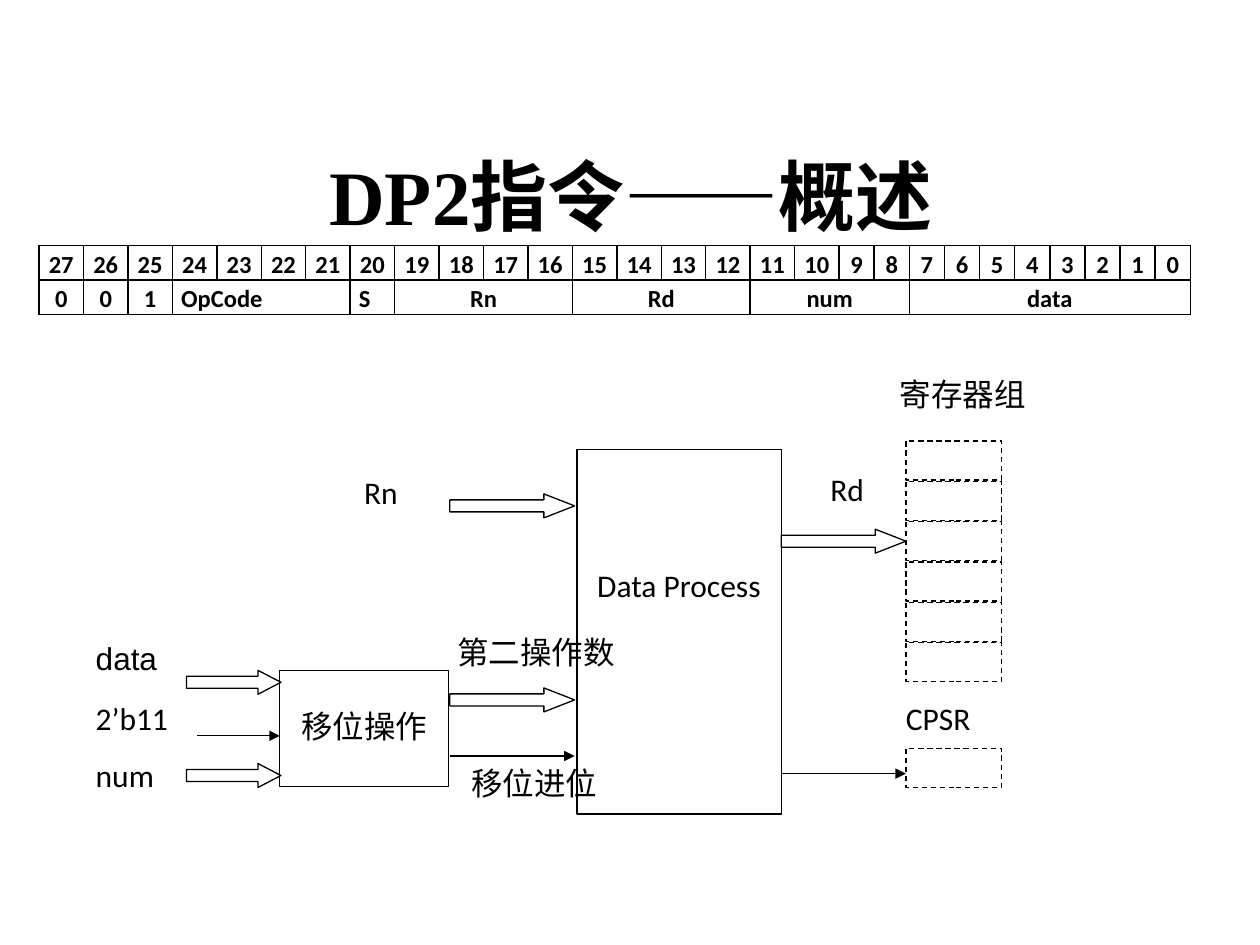
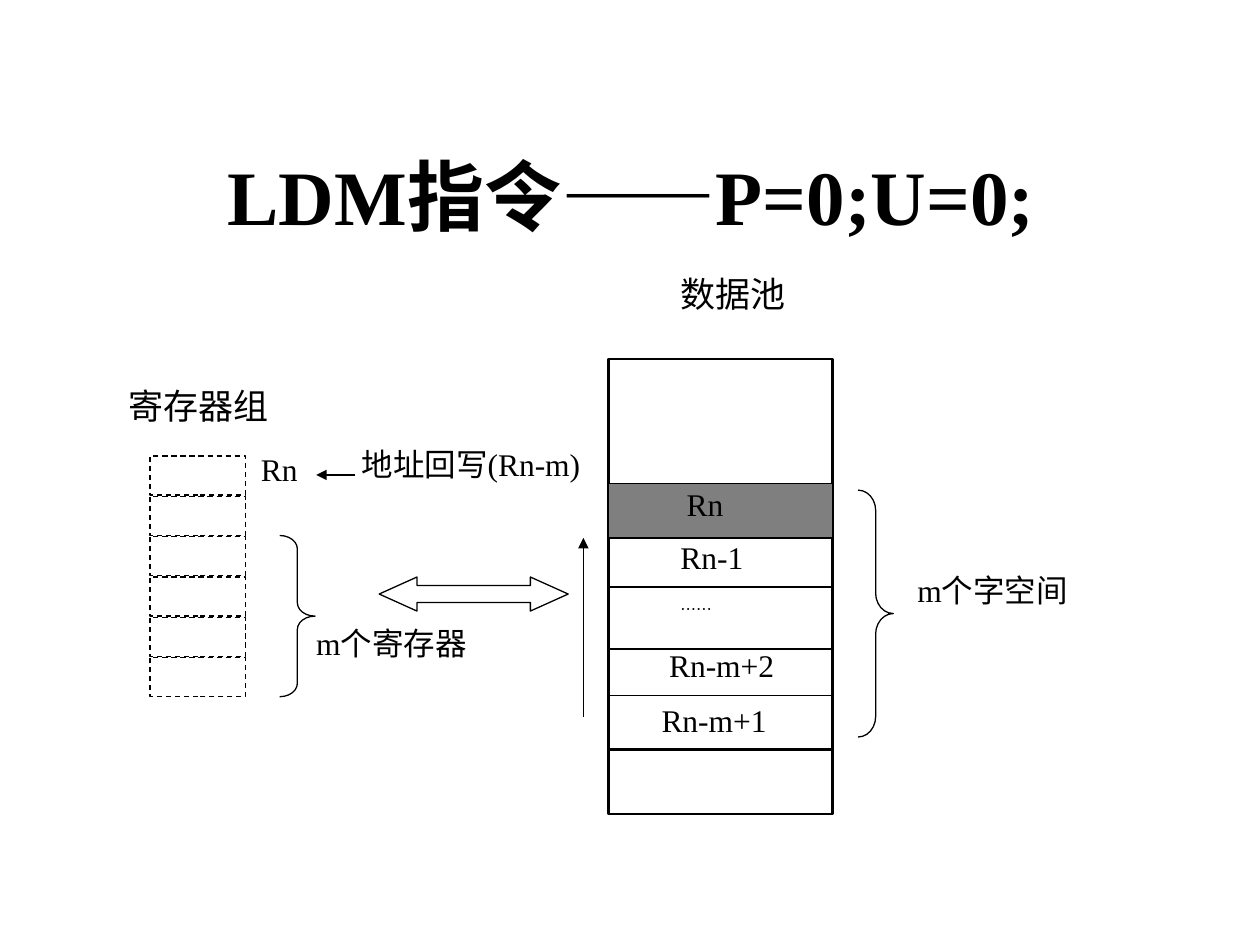
from dataclasses import dataclass

from lxml import etree
from pptx import Presentation
from pptx.dml.color import RGBColor
from pptx.enum.dml import MSO_LINE
from pptx.enum.shapes import MSO_CONNECTOR, MSO_SHAPE
from pptx.enum.text import MSO_ANCHOR, PP_ALIGN
from pptx.oxml.ns import qn
from pptx.util import Inches, Pt

RECT = MSO_SHAPE.RECTANGLE
RIGHT_ARROW = MSO_SHAPE.RIGHT_ARROW
BOTH_ARROW = MSO_SHAPE.LEFT_RIGHT_ARROW
BRACE = MSO_SHAPE.RIGHT_BRACE
STRAIGHT = MSO_CONNECTOR.STRAIGHT
DASH = MSO_LINE.DASH
LEFT, CENTER = PP_ALIGN.LEFT, PP_ALIGN.CENTER
MIDDLE = MSO_ANCHOR.MIDDLE
TITLE_ONLY = 5


@dataclass(frozen=True)
class Theme:
    """Colours, fonts, type sizes and line widths shared by the slides."""
    ink: RGBColor = RGBColor(0, 0, 0)
    paper: RGBColor = RGBColor(255, 255, 255)
    grey: RGBColor = RGBColor(0x7F, 0x7F, 0x7F)
    serif: str = "Times New Roman"
    sans: str = "Calibri"
    arial: str = "Arial"
    cjk: str = "Noto Sans CJK SC"
    title: int = 44
    heading: int = 20
    label: int = 18
    cell: int = 14
    small: int = 9
    thin: float = 0.75
    thick: float = 1.5
    border: float = 1


T = Theme()


def style(p, font, size, bold=False, align=LEFT):
    """Set the alignment and font of one paragraph."""
    p.alignment = align
    p.font.name = font
    p.font.size = Pt(size)
    p.font.bold = bold
    p.font.color.rgb = T.ink


def add_titled_slide(prs, title):
    """Add a slide with the shared title style."""
    s = prs.slides.add_slide(prs.slide_layouts[TITLE_ONLY])
    sp = s.shapes.title
    sp.left, sp.top, sp.width, sp.height = map(Inches, (0.51, 0.92, 9, 1.25))
    tf = sp.text_frame
    tf.text = title
    tf.vertical_anchor = MIDDLE
    style(tf.paragraphs[0], T.serif, T.title, True, CENTER)
    return s


def add_label(s, text, x, y, w, font, size=T.label):
    """Add a one-line label without margins."""
    tf = s.shapes.add_textbox(*map(Inches, (x, y, w, 0.39))).text_frame
    tf.word_wrap = True
    tf.margin_left = tf.margin_top = tf.margin_right = tf.margin_bottom = 0
    tf.text = text
    style(tf.paragraphs[0], font, size)


def add_outlined(s, kind, x, y, w, h, fill=T.paper, width=T.thin, dash=None, adjust=()):
    """Add a preset shape with a black outline."""
    sp = s.shapes.add_shape(kind, *map(Inches, (x, y, w, h)))
    sp.shadow.inherit = False
    if fill is None:
        sp.fill.background()
    else:
        sp.fill.solid()
        sp.fill.fore_color.rgb = fill
    sp.line.color.rgb = T.ink
    sp.line.width = Pt(width)
    if dash is not None:
        sp.line.dash_style = dash
    for i, value in enumerate(adjust):
        sp.adjustments[i] = value


def add_bus(s, x, y, w, head):
    """Add a block arrow that stands for a multi-bit path."""
    add_outlined(s, RIGHT_ARROW, x, y, w, 0.19, adjust=(0.5, head))


def add_line(s, x1, y1, x2, y2, width=T.thin, arrow=False):
    """Add a straight line, with an arrowhead at its end if asked."""
    c = s.shapes.add_connector(STRAIGHT, *map(Inches, (x1, y1, x2, y2)))
    c.line.color.rgb = T.ink
    c.line.width = Pt(width)
    if arrow:
        etree.SubElement(c.line._get_or_add_ln(), qn("a:tailEnd"), type="triangle")
    etree.SubElement(c._element.spPr, qn("a:effectLst"))


def add_registers(s, x, y, count=6):
    """Add a column of dashed register boxes."""
    for i in range(count):
        add_outlined(s, RECT, x, y + 0.32 * i, 0.76, 0.31, dash=DASH)


def set_borders(cell):
    """Draw a black border on all four sides of a cell."""
    tcPr = cell._tc.get_or_add_tcPr()
    for i, side in enumerate(("lnL", "lnR", "lnT", "lnB")):
        ln = etree.Element(qn(f"a:{side}"), w=str(Pt(T.border)))
        fill = etree.SubElement(ln, qn("a:solidFill"))
        etree.SubElement(fill, qn("a:srgbClr"), val=str(T.ink))
        tcPr.insert(i, ln)


def fill_cell(cell, text, align):
    """Write one cell of the instruction format."""
    cell.text = text
    p = cell.text_frame.paragraphs[0]
    p.line_spacing = 1.15
    p.space_after = Pt(10)
    style(p, T.sans, T.cell, True, align)


def add_encoding_table(s, fields):
    """Add bit numbers 27 to 0 above the instruction fields."""
    bits = 28
    wide = 18
    frame = s.shapes.add_table(2, bits, *map(Inches, (0.31, 1.95, 9.14, 0.54)))
    table = frame.table
    table.first_row = table.horz_banding = False
    for i, column in enumerate(table.columns):
        column.width = Inches(6.35 / wide if i < wide else 2.79 / (bits - wide))
    for row in table.rows:
        row.height = Inches(0.27)
        for cell in row.cells:
            cell.margin_left = cell.margin_right = Inches(0.07)
            cell.margin_top = cell.margin_bottom = 0
            cell.fill.background()
            set_borders(cell)
    for i in range(bits):
        fill_cell(table.cell(0, i), str(bits - 1 - i), CENTER)
    start = 0
    for text, span, align in fields:
        cell = table.cell(1, start)
        if span > 1:
            cell.merge(table.cell(1, start + span - 1))
        fill_cell(cell, text, align)
        start += span


def build_dp2(prs):
    """Build the data-processing instruction overview."""
    s = add_titled_slide(prs, "DP2指令——概述")
    add_encoding_table(s, [
        ("0", 1, CENTER), ("0", 1, CENTER), ("1", 1, CENTER),
        ("OpCode", 4, LEFT), ("S", 1, LEFT), ("Rn", 4, CENTER),
        ("Rd", 4, CENTER), ("num", 4, CENTER), ("data", 8, CENTER),
    ])
    add_outlined(s, RECT, 2.22, 5.32, 1.34, 0.92)
    add_outlined(s, RECT, 4.58, 3.57, 1.62, 2.89)
    add_registers(s, 7.19, 3.5)
    add_registers(s, 7.19, 5.94, 1)
    for x, y in ((3.57, 3.92), (3.57, 5.46), (6.2, 4.2)):
        add_bus(s, x, y, 0.99, 1.28)
    for y in (5.32, 6.06):
        add_bus(s, 1.48, y, 0.75, 0.96)
    for x1, x2, y in ((1.56, 2.22, 5.84), (3.57, 4.56, 6), (6.2, 7.19, 6.14)):
        add_line(s, x1, y, x2, y, arrow=True)
    add_label(s, "data", 0.76, 5.07, 0.55, T.arial)
    for text, x, y, w in (
        ("2’b11", 0.76, 5.55, 0.72), ("num", 0.76, 6, 0.55),
        ("移位操作", 2.39, 5.61, 1.1), ("Rn", 2.89, 3.75, 0.49),
        ("第二操作数", 3.63, 5.02, 1.4), ("移位进位", 3.74, 6.06, 1.06),
        ("Data Process", 4.74, 4.49, 1.46), ("Rd", 6.59, 3.73, 0.49),
        ("寄存器组", 7.14, 2.98, 1.14), ("CPSR", 7.19, 5.55, 0.76),
    ):
        add_label(s, text, x, y, w, T.sans)


def build_ldm(prs):
    """Build the load-multiple diagram for P=0 and U=0."""
    s = add_titled_slide(prs, "LDM指令——P=0;U=0;")
    add_registers(s, 1.19, 3.62)
    pool_left, pool_width = 4.83, 1.78
    add_outlined(s, RECT, pool_left, 2.85, pool_width, 3.61, width=T.thick)
    for y, width in ((4.66, T.thin), (5.15, T.thin), (5.52, T.thin), (5.95, T.thick)):
        add_line(s, pool_left, y, pool_left + pool_width, y, width)
    add_outlined(s, RECT, pool_left, 3.84, pool_width, 0.43, T.grey)
    add_outlined(s, BOTH_ARROW, 3.01, 4.58, 1.5, 0.27, adjust=(0.5, 1.11))
    add_outlined(s, BRACE, 2.22, 4.25, 0.28, 1.28, None, adjust=(0.38, 0.5))
    add_outlined(s, BRACE, 6.81, 3.89, 0.28, 1.96, None, adjust=(0.58, 0.5))
    add_line(s, 2.82, 3.77, 2.51, 3.77, arrow=True)
    add_line(s, 4.63, 5.69, 4.63, 4.27, arrow=True)
    add_label(s, "寄存器组", 1.02, 3.05, 1.56, T.serif, T.heading)
    add_label(s, "数据池", 5.4, 2.16, 0.97, T.serif, T.heading)
    add_label(s, "……", 5.4, 4.76, 0.62, T.cjk, T.small)
    for text, x, y, w in (
        ("Rn", 2.07, 3.57, 0.44), ("地址回写(Rn-m)", 2.87, 3.53, 1.9),
        ("m个寄存器", 2.51, 4.95, 1.35), ("m个字空间", 7.28, 4.53, 1.35),
        ("Rn", 5.45, 3.85, 0.5), ("Rn-1", 5.4, 4.27, 0.72),
        ("Rn-m+2", 5.31, 5.13, 1.12), ("Rn-m+1", 5.25, 5.56, 1.12),
    ):
        add_label(s, text, x, y, w, T.serif)


def main():
    """Build and save the presentation."""
    prs = Presentation()
    prs.slide_width, prs.slide_height = Inches(10), Inches(7.5)
    build_dp2(prs)
    build_ldm(prs)
    prs.save("out.pptx")


if __name__ == "__main__":
    main()
